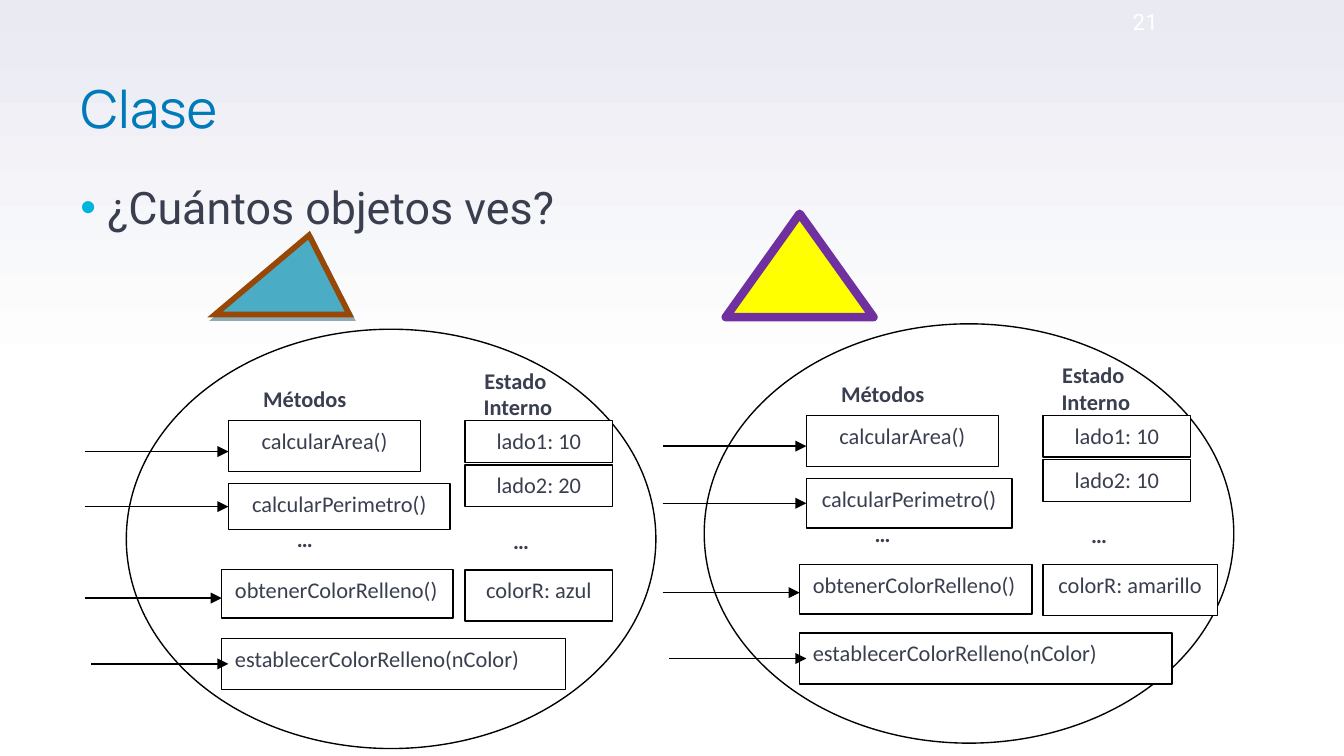
"""Build the slide that compares two triangle objects of one class."""
from lxml.etree import SubElement
from pptx import Presentation
from pptx.dml.color import RGBColor
from pptx.enum.shapes import MSO_CONNECTOR, MSO_SHAPE
from pptx.enum.text import MSO_ANCHOR, PP_ALIGN
from pptx.oxml.ns import qn
from pptx.util import Inches, Pt

WHITE = RGBColor(0xFF, 0xFF, 0xFF)
BLACK = RGBColor(0, 0, 0)
LILAC = RGBColor(0xE9, 0xEA, 0xF2)
BLUE = RGBColor(0x00, 0x7B, 0xB9)
INK = RGBColor(0x3A, 0x3F, 0x50)
TEAL = RGBColor(0x4B, 0xAC, 0xC6)
BROWN = RGBColor(0x97, 0x47, 0x06)
YELLOW = RGBColor(0xFF, 0xFF, 0x00)
PURPLE = RGBColor(0x70, 0x30, 0xA0)

TITLE = "Clase"
ASK = "¿Cuántos objetos ves?"
PAGE = "21"
MID, LEFT = PP_ALIGN.CENTER, PP_ALIGN.LEFT

OVAL = (0.94, 2.45, 3.94, 3.12)
LABELS = [
    (["Métodos"], (1.86, 2.82, 1.14, 0.37), LEFT),
    (["Estado", " Interno"], (3.11, 2.68, 1.45, 0.43), MID),
    (["…"], (2.11, 3.86, 1.39, 0.47), LEFT),
    (["…"], (3.72, 3.87, 1.39, 0.47), LEFT),
]
METHODS = [
    ("calcularArea()", 1.7, 3.13, MID),
    ("calcularPerimetro()", 1.7, 3.6, MID),
    ("obtenerColorRelleno()", 1.65, 4.24, LEFT),
    ("establecerColorRelleno(nColor)", 1.65, 4.75, LEFT),
]
ARROWS = [(0.63, 1.7, 3.36), (0.63, 1.7, 3.78), (0.63, 1.65, 4.45), (0.68, 1.7, 4.94)]
JOINED = 1
STATE_X, STATE_Y = 3.46, (3.13, 3.46, 4.24)
STATE_H = (0.31, 0.31, 0.38)
OBJECTS = [
    {"shift": (0, 0),
     "sizes": [(1.43, 0.38), (1.65, 0.34), (1.72, 0.36), (2.56, 0.38)],
     "state": [("lado1: 10", 1.1), ("lado2: 20", 1.1), ("colorR: azul", 1.1)]},
    {"shift": (4.3, -0.04),
     "sizes": [(1.43, 0.38), (1.53, 0.37), (1.73, 0.37), (2.77, 0.38)],
     "state": [("lado1: 10", 1.1), ("lado2: 10", 1.1), ("colorR: amarillo", 1.3)]},
]
TRIANGLES = [
    ((1.6, 1.75, 1, 0.59), 0.7, TEAL, BROWN, 3, "miter"),
    ((5.4, 1.59, 1.1, 0.77), 0.5, YELLOW, PURPLE, 4.5, "round"),
]


def place(area, shift=(0, 0)):
    x, y, w, h = area
    return [Inches(round(n, 2)) for n in (x + shift[0], y + shift[1], w, h)]


def write(shape, lines, size, font, color, align=LEFT, bold=False):
    frame = shape.text_frame
    frame.word_wrap = True
    frame.vertical_anchor = MSO_ANCHOR.TOP
    frame.text = "\n".join(lines)
    for para in frame.paragraphs:
        para.alignment = align
        para.font.size, para.font.name = Pt(size), font
        para.font.bold = bold
        para.font.color.rgb = color
    return frame


def draw(shapes, kind, area, fill=WHITE, line=BLACK, width=0.75):
    shape = shapes.add_shape(kind, *area)
    shape.shadow.inherit = False
    shape.fill.solid()
    shape.fill.fore_color.rgb = fill
    shape.line.color.rgb = line
    shape.line.width = Pt(width)
    return shape


def box(shapes, text, area, align):
    shape = draw(shapes, MSO_SHAPE.RECTANGLE, area)
    write(shape, [text], 12, "Calibri", INK, align)
    return shape


def arrow(shapes, start, end, y):
    line = shapes.add_connector(
        MSO_CONNECTOR.STRAIGHT, Inches(start), Inches(y), Inches(end), Inches(y))
    line.line.color.rgb = BLACK
    line.line.width = Pt(0.75)
    SubElement(line.line._get_or_add_ln(), qn("a:tailEnd"), type="triangle")
    SubElement(line._element.spPr, qn("a:effectLst"))
    return line


def build(slide, item):
    shapes = slide.shapes.add_group_shape().shapes
    shift = item["shift"]
    draw(shapes, MSO_SHAPE.OVAL, place(OVAL, shift))
    boxes = [box(shapes, text, place((x, y, *size), shift), align)
             for (text, x, y, align), size in zip(METHODS, item["sizes"])]
    for (text, w), y, h in zip(item["state"], STATE_Y, STATE_H):
        box(shapes, text, place((STATE_X, y, w, h), shift), MID)
    for lines, area, align in LABELS:
        label = shapes.add_textbox(*place(area, shift))
        write(label, lines, 12, "Calibri", INK, align, True)
    for i, (start, end, y) in enumerate(ARROWS):
        line = arrow(shapes, start + shift[0], end + shift[0], y + shift[1])
        if i == JOINED:
            line.end_connect(boxes[i], 1)
            line.begin_y = line.end_y


def main():
    deck = Presentation()
    deck.slide_width = Inches(10)
    deck.slide_height = deck.slide_width * 9 // 16
    slide = deck.slides.add_slide(deck.slide_layouts[5])

    fill = slide.background.fill
    fill.gradient()
    fill.gradient_angle = 90
    for stop, spot, color in zip(fill.gradient_stops, (0.5, 1), (WHITE, LILAC)):
        stop.position = spot
        stop.color.rgb = color

    title = slide.shapes.title
    title.left, title.top, title.width, title.height = place((0.5, 0.44, 9, 0.81))
    frame = write(title, [TITLE], 28, "Manrope", BLUE)
    frame.vertical_anchor = MSO_ANCHOR.MIDDLE
    frame.paragraphs[0].line_spacing = 0.8

    body = slide.shapes.add_textbox(*place((0.5, 1.25, 9.07, 0.87)))
    para = write(body, [ASK], 24, "Roboto", INK).paragraphs[0]
    para.line_spacing = 1.1
    props = para._p.get_or_add_pPr()
    props.set("marL", str(Inches(0.2)))
    props.set("indent", str(-Inches(0.2)))
    tint = SubElement(props, qn("a:buClr"))
    SubElement(tint, qn("a:srgbClr"), val="00B5DD")
    SubElement(props, qn("a:buFont"), typeface="Arial")
    SubElement(props, qn("a:buChar"), char="•")
    props.append(props.find(qn("a:defRPr")))

    page = slide.shapes.add_textbox(*place((8.33, 0.01, 0.6, 0.3)))
    write(page, [PAGE], 12, "Roboto", WHITE)

    build(slide, OBJECTS[0])
    for area, peak, color, edge, width, join in TRIANGLES:
        shape = draw(slide.shapes, MSO_SHAPE.ISOSCELES_TRIANGLE,
                     place(area), color, edge, width)
        shape.adjustments[0] = peak
        SubElement(shape.line._get_or_add_ln(), qn("a:" + join))
        if color == TEAL:
            effects = shape._element.spPr.find(qn("a:effectLst"))
            shade = SubElement(effects, qn("a:outerShdw"), dist=str(Pt(2.2)),
                               dir="3780000", algn="ctr", rotWithShape="0")
            tone = SubElement(shade, qn("a:srgbClr"), val="205867")
            SubElement(tone, qn("a:alpha"), val="49000")
    build(slide, OBJECTS[1])
    deck.save("out.pptx")


if __name__ == "__main__":
    main()
